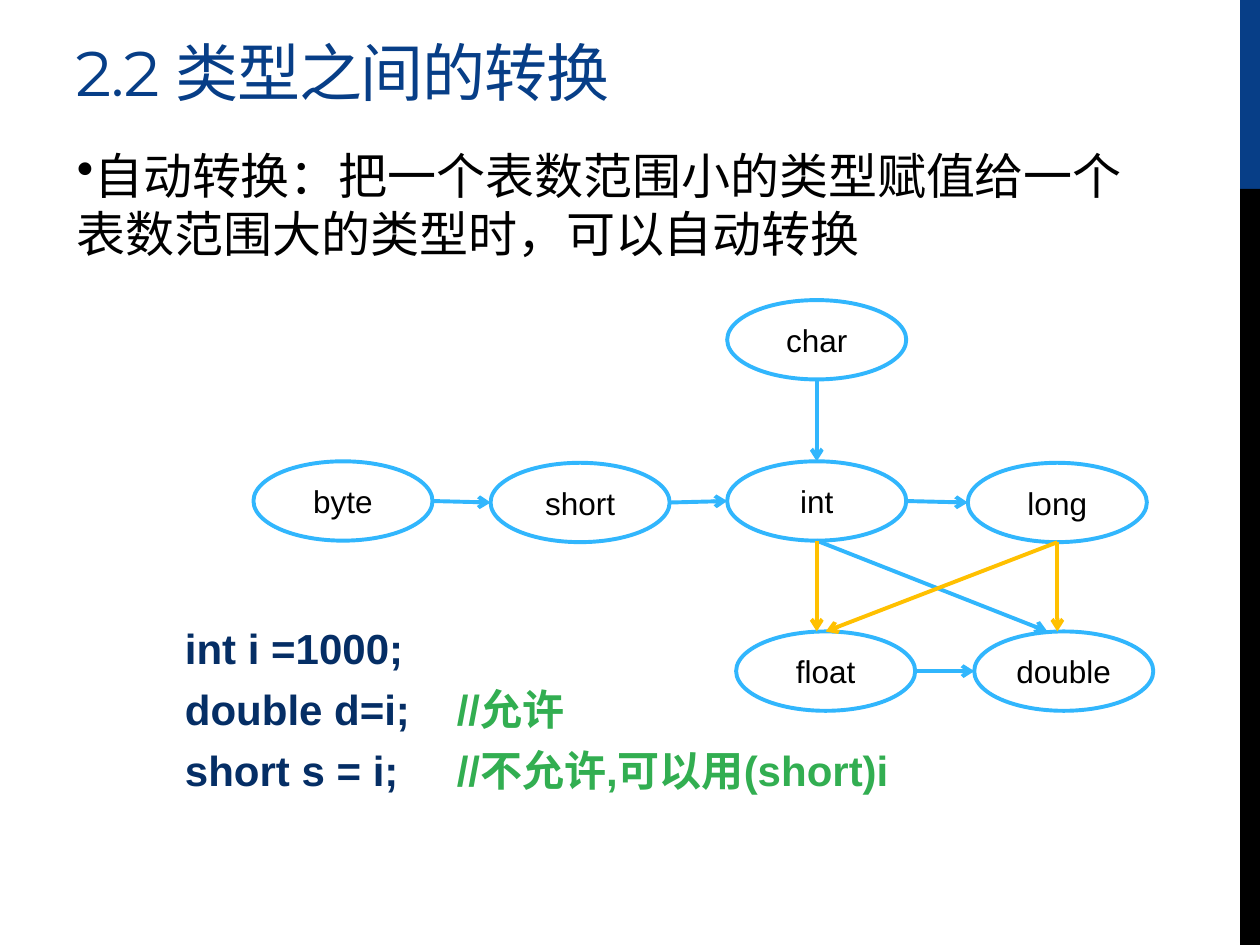
from lxml.etree import SubElement
from pptx import Presentation
from pptx.dml.color import RGBColor
from pptx.enum.shapes import MSO_CONNECTOR, MSO_SHAPE
from pptx.enum.text import MSO_ANCHOR, PP_ALIGN
from pptx.oxml.ns import qn
from pptx.util import Cm, Pt

COLORS = {
    "blue": "073E87",
    "black": "000000",
    "white": "FFFFFF",
    "sky": "31B6FD",
    "amber": "FFC000",
    "navy": "052E65",
    "green": "32AE51",
}
LINE_WIDTH = Pt(2.25)
NODE_WIDTH, NODE_HEIGHT = 3.61, 1.6

# Left and top of each type, in cm from the corner of the diagram
NODES = {
    "char": (9.55, 0),
    "byte": (0, 3.25),
    "short": (4.78, 3.28),
    "int": (9.55, 3.25),
    "long": (14.4, 3.28),
    "float": (9.73, 6.68),
    "double": (14.53, 6.68),
}
# Start, side, end, side, colour, sideways shift of the arrow tip in cm
ARROWS = [
    ("char", "bottom", "int", "top", "sky", 0),
    ("byte", "right", "short", "left", "sky", 0),
    ("short", "right", "int", "left", "sky", 0),
    ("int", "right", "long", "left", "sky", 0),
    ("float", "right", "double", "left", "sky", 0),
    ("int", "bottom", "double", "top", "sky", -0.33),
    ("long", "bottom", "double", "top", "amber", -0.13),
    ("long", "bottom", "float", "top", "amber", 0),
    ("int", "bottom", "float", "top", "amber", -0.18),
]
SIDES = {"top": (0.5, 0), "left": (0, 0.5), "bottom": (0.5, 1), "right": (1, 0.5)}
CODE_LINES = [
    ("int i =1000;", ""),
    ("double d=i;", "//允许"),
    ("short s = i;", "//不允许,可以用(short)i"),
]


def rgb(name):
    return RGBColor.from_string(COLORS[name])


def add_text(paragraph, text, size, color="black", font="Arial", bold=False,
             align=PP_ALIGN.LEFT, spacing=None):
    paragraph.alignment = align
    run = paragraph.add_run()
    run.text = text
    run.font.size = Pt(size)
    run.font.name = font
    run.font.bold = bold
    run.font.color.rgb = rgb(color)
    if spacing is not None:
        run.font._element.set("spc", str(spacing))


def add_text_box(slide, box):
    frame = slide.shapes.add_textbox(*map(Cm, box)).text_frame
    frame.word_wrap = True
    return frame


def add_filled_shape(slide, kind, box, fill, line=None):
    shape = slide.shapes.add_shape(kind, *map(Cm, box))
    shape.shadow.inherit = False
    shape.fill.solid()
    shape.fill.fore_color.rgb = rgb(fill)
    if line:
        shape.line.color.rgb = rgb(line)
        shape.line.width = LINE_WIDTH
    else:
        shape.line.fill.background()
    return shape


def add_arrow(slide, start, end, color):
    connector = slide.shapes.add_connector(
        MSO_CONNECTOR.STRAIGHT, *map(Cm, (*start, *end)))
    connector.line.color.rgb = rgb(color)
    connector.line.width = LINE_WIDTH
    SubElement(connector.line._get_or_add_ln(), qn("a:tailEnd"), type="arrow")
    SubElement(connector._element.spPr, qn("a:effectLst"))


def build_side_band(slide, left, top, width, height):
    upper = height * 0.2
    add_filled_shape(slide, MSO_SHAPE.RECTANGLE, (left, top, width, upper), "blue")
    add_filled_shape(slide, MSO_SHAPE.RECTANGLE,
                     (left, top + upper, width, height - upper), "black")


def build_title(slide, left, top, width, height):
    title = slide.shapes.title
    title.left, title.top, title.width, title.height = map(
        Cm, (left, top, width, height))
    frame = title.text_frame
    frame.vertical_anchor = MSO_ANCHOR.BOTTOM
    add_text(frame.paragraphs[0], "2.2 类型之间的转换", 36, color="blue",
             font="Montserrat", spacing=-60)


def build_statement(slide, left, top, width, height):
    paragraph = add_text_box(slide, (left, top, width, height)).paragraphs[0]
    SubElement(paragraph._p.get_or_add_pPr(), qn("a:buChar"), char="•")
    add_text(paragraph,
             "自动转换：把一个表数范围小的类型赋值给一个表数范围大的类型时，可以自动转换", 28)


def build_diagram(slide, left, top):
    def side_point(name, side):
        (x, y), (across, down) = NODES[name], SIDES[side]
        return left + x + across * NODE_WIDTH, top + y + down * NODE_HEIGHT

    for name, (x, y) in NODES.items():
        node = add_filled_shape(slide, MSO_SHAPE.OVAL,
                                (left + x, top + y, NODE_WIDTH, NODE_HEIGHT),
                                "white", "sky")
        node.text_frame.vertical_anchor = MSO_ANCHOR.MIDDLE
        add_text(node.text_frame.paragraphs[0], name, 18, align=PP_ALIGN.CENTER)

    for source, source_side, target, target_side, color, shift in ARROWS:
        x, y = side_point(target, target_side)
        add_arrow(slide, side_point(source, source_side), (x + shift, y), color)


def build_code(slide, left, top, width, height):
    frame = add_text_box(slide, (left, top, width, height))
    for index, (code, comment) in enumerate(CODE_LINES):
        paragraph = frame.add_paragraph() if index else frame.paragraphs[0]
        if index:
            paragraph.space_before = Pt(6)
        if comment:
            # Comments line up at one tab stop
            tabs = SubElement(paragraph._p.get_or_add_pPr(), qn("a:tabLst"))
            SubElement(tabs, qn("a:tab"), pos=str(Cm(5.48)), algn="l")
            code += "\t"
        add_text(paragraph, code, 24, color="navy", bold=True)
        if comment:
            add_text(paragraph, comment, 24, color="green", bold=True)


def main():
    presentation = Presentation()
    presentation.slide_width, presentation.slide_height = Cm(25.4), Cm(19.05)
    slide = presentation.slides.add_slide(presentation.slide_layouts[5])
    build_side_band(slide, 25, 0, 0.4, 19.05)
    build_title(slide, 1.27, 0.43, 22.43, 1.9)
    build_statement(slide, 1.3, 2.8, 22.43, 2.7)
    build_diagram(slide, 5.11, 6.05)
    build_code(slide, 3.48, 12.42, 16.5, 3.8)
    presentation.save("out.pptx")


if __name__ == "__main__":
    main()
